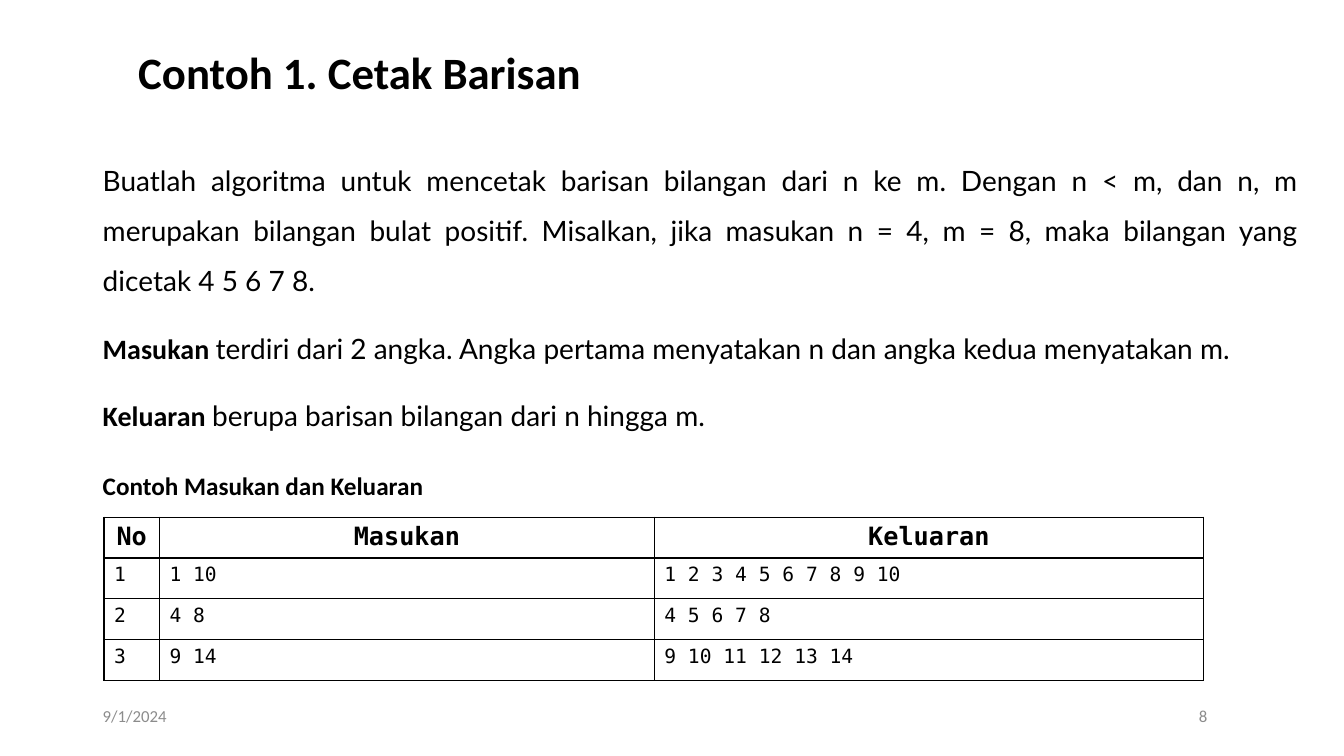
"""Build the slide "Contoh 1. Cetak Barisan" with its task text and example table."""
import pptx
import pptx.dml.color
import pptx.enum.text
import pptx.oxml
import pptx.oxml.ns
import pptx.util
from pptx.util import Cm

COLORS = {"text": "000000", "footer": "8C8C8C", "background": "FFFFFF"}
HEADING_FONT, BODY_FONT, CODE_FONT = "Calibri", "Lato", "DejaVu Sans Mono"
ALIGN = pptx.enum.text.PP_ALIGN
ANCHOR = pptx.enum.text.MSO_ANCHOR

TITLE = "Contoh 1. Cetak Barisan"
TASK = [
    (ALIGN.JUSTIFY, "", "Buatlah algoritma untuk mencetak barisan bilangan dari n ke m. "
     "Dengan n < m, dan n, m merupakan bilangan bulat positif. Misalkan, jika masukan "
     "n = 4, m = 8, maka bilangan yang dicetak 4 5 6 7 8."),
    (ALIGN.LEFT, "Masukan ", "terdiri dari 2 angka. Angka pertama menyatakan n dan "
     "angka kedua menyatakan m."),
    (ALIGN.JUSTIFY, "Keluaran ", "berupa barisan bilangan dari n hingga m."),
]
TABLE_HEADING = [(ALIGN.JUSTIFY, "Contoh Masukan dan Keluaran", "")]
EXAMPLES = [
    ("No", "Masukan", "Keluaran"),
    ("1", "1 10", "1 2 3 4 5 6 7 8 9 10"),
    ("2", "4 8", "4 5 6 7 8"),
    ("3", "9 14", "9 10 11 12 13 14"),
]
FOOTERS = [
    ("9/1/2024", ALIGN.LEFT, Cm(2.34), Cm(3.73)),
    ("8", ALIGN.RIGHT, Cm(6.17), Cm(24.51)),
]
COLUMN_WIDTHS = [Cm(1.4), Cm(12.47), Cm(13.84)]
ROW_HEIGHT = Cm(1.03)
BODY_LEFT, BODY_WIDTH = Cm(2.34), Cm(30.63)


def format_run(run, font_name, size, color="text", bold=False):
    run.font.name = font_name
    run.font.size = pptx.util.Pt(size)
    run.font.bold = bold
    run.font.color.rgb = pptx.dml.color.RGBColor.from_string(COLORS[color])


def add_text_box(slide, left, top, width, height):
    text_frame = slide.shapes.add_textbox(left, top, width, height).text_frame
    text_frame.word_wrap = True
    return text_frame


def add_body(slide, top, height, size, paragraphs):
    text_frame = add_text_box(slide, BODY_LEFT, top, BODY_WIDTH, height)
    for index, (alignment, lead, rest) in enumerate(paragraphs):
        paragraph = text_frame.add_paragraph() if index else text_frame.paragraphs[0]
        paragraph.alignment = alignment
        paragraph.line_spacing = 1.5
        paragraph.space_before = paragraph.space_after = pptx.util.Pt(6)
        for text, font_name, bold in ((lead, HEADING_FONT, True), (rest, BODY_FONT, False)):
            if text:
                run = paragraph.add_run()
                run.text = text
                format_run(run, font_name, size, bold=bold)


def add_borders(cell):
    properties = cell._tc.get_or_add_tcPr()
    for position, side in enumerate(("lnL", "lnR", "lnT", "lnB")):
        properties.insert(position, pptx.oxml.parse_xml(
            f'<a:{side} {pptx.oxml.ns.nsdecls("a")} w="12700"><a:solidFill>'
            f'<a:srgbClr val="{COLORS["text"]}"/></a:solidFill></a:{side}>'))


def add_examples(slide):
    table = slide.shapes.add_table(
        len(EXAMPLES), len(COLUMN_WIDTHS), Cm(2.62), Cm(13.03),
        sum(COLUMN_WIDTHS), ROW_HEIGHT * len(EXAMPLES)).table
    for column, width in zip(table.columns, COLUMN_WIDTHS):
        column.width = width
    for row_index, values in enumerate(EXAMPLES):
        header = row_index == 0
        table.rows[row_index].height = ROW_HEIGHT
        for column_index, value in enumerate(values):
            cell = table.cell(row_index, column_index)
            cell.fill.solid()
            cell.fill.fore_color.rgb = pptx.dml.color.RGBColor.from_string(COLORS["background"])
            paragraph = cell.text_frame.paragraphs[0]
            paragraph.text = value
            paragraph.alignment = ALIGN.CENTER if header else ALIGN.LEFT
            format_run(paragraph.runs[0], CODE_FONT, 18 if header else 14, bold=header)
            add_borders(cell)


def main():
    presentation = pptx.Presentation()
    presentation.slide_width, presentation.slide_height = Cm(33.87), Cm(19.05)
    slide = presentation.slides.add_slide(presentation.slide_layouts[5])

    title = slide.shapes.title
    title.left, title.top, title.width, title.height = Cm(3.23), Cm(1.02), Cm(24.99), Cm(1.73)
    title.text_frame.text = TITLE
    title.text_frame.vertical_anchor = ANCHOR.MIDDLE
    paragraph = title.text_frame.paragraphs[0]
    paragraph.alignment = ALIGN.LEFT
    paragraph.line_spacing = 0.9
    format_run(paragraph.runs[0], HEADING_FONT, 32, bold=True)

    add_body(slide, Cm(3.56), Cm(7.52), 20, TASK)
    add_body(slide, Cm(11.35), Cm(1.32), 18, TABLE_HEADING)
    add_examples(slide)

    for text, alignment, left, width in FOOTERS:
        text_frame = add_text_box(slide, left, Cm(17.53), width, Cm(1.02))
        text_frame.vertical_anchor = ANCHOR.MIDDLE
        text_frame.text = text
        text_frame.paragraphs[0].alignment = alignment
        format_run(text_frame.paragraphs[0].runs[0], HEADING_FONT, 12, "footer")

    presentation.save("out.pptx")


if __name__ == "__main__":
    main()
